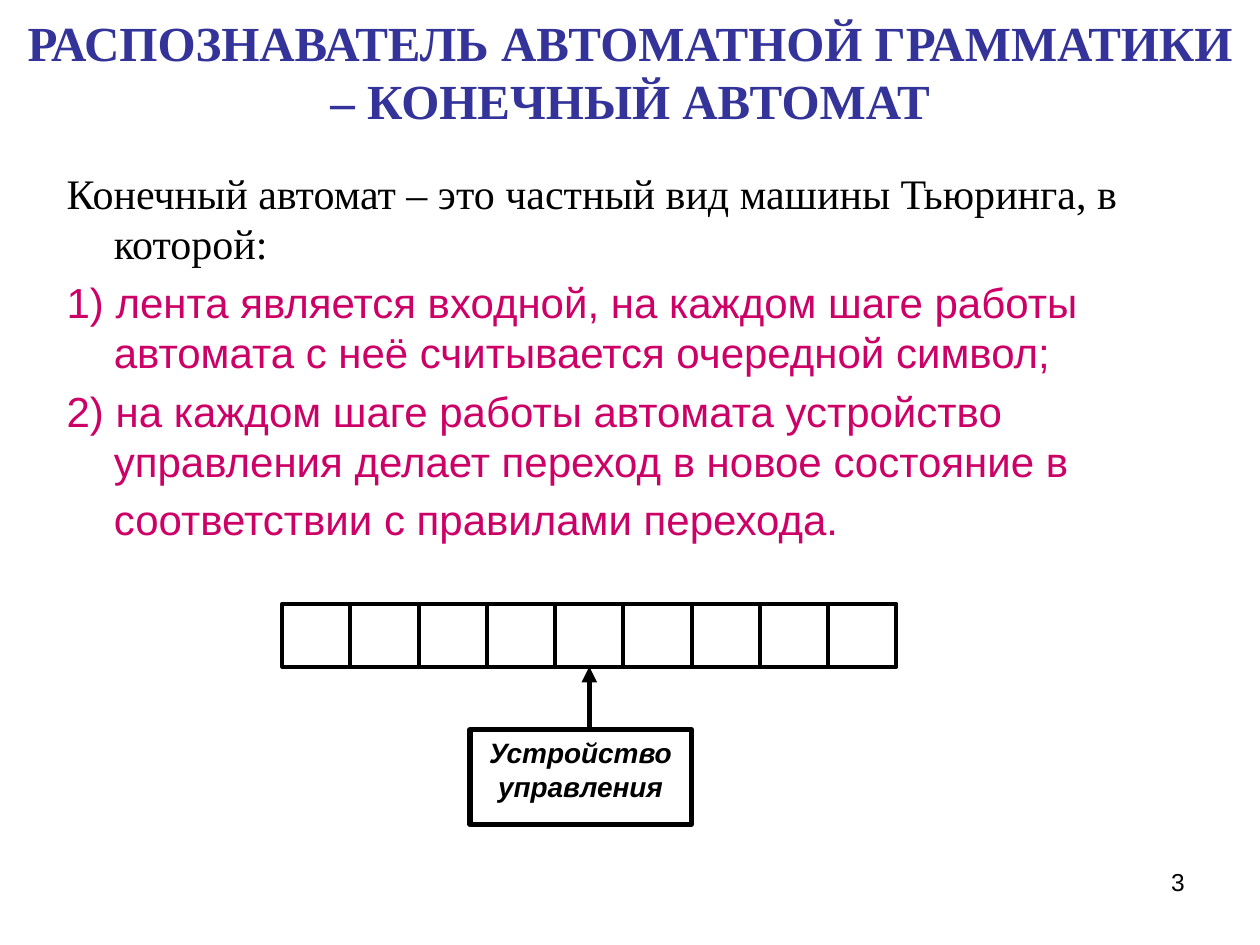
from lxml.etree import SubElement
from pptx import Presentation
from pptx.dml.color import RGBColor
from pptx.enum.shapes import MSO_CONNECTOR, MSO_SHAPE
from pptx.enum.text import MSO_ANCHOR, MSO_AUTO_SIZE, PP_ALIGN
from pptx.oxml.ns import qn
from pptx.util import Pt

BLACK = RGBColor(0x00, 0x00, 0x00)
WHITE = RGBColor(0xFF, 0xFF, 0xFF)
INDIGO = RGBColor(0x33, 0x33, 0x99)
CRIMSON = RGBColor(0xCC, 0x00, 0x66)


def write(paragraph, text, size=24, font="Arial", color=BLACK, bold=False,
          italic=False, align=PP_ALIGN.LEFT, before=0, hanging=0):
    paragraph.alignment = align
    paragraph.space_before = Pt(before)
    if hanging:
        properties = paragraph._p.get_or_add_pPr()
        properties.set("marL", str(Pt(hanging)))
        properties.set("indent", str(-Pt(hanging)))
    span = paragraph.add_run()
    span.text = text
    span.font.size = Pt(size)
    span.font.name = font
    span.font.bold = bold
    span.font.italic = italic
    span.font.color.rgb = color


def add_rectangle(left, top, width, height, line_width):
    rectangle = page.shapes.add_shape(
        MSO_SHAPE.RECTANGLE, Pt(left), Pt(top), Pt(width), Pt(height))
    rectangle.shadow.inherit = False
    rectangle.fill.solid()
    rectangle.fill.fore_color.rgb = WHITE
    rectangle.line.color.rgb = BLACK
    rectangle.line.width = Pt(line_width)
    return rectangle


deck = Presentation()
deck.slide_width, deck.slide_height = Pt(720), Pt(540)
page = deck.slides.add_slide(deck.slide_layouts[5])

title = page.shapes.title
title.left, title.top, title.width, title.height = Pt(0), Pt(15), Pt(720), Pt(51)
title.text_frame.auto_size = MSO_AUTO_SIZE.NONE
title.text_frame.vertical_anchor = MSO_ANCHOR.MIDDLE
write(title.text_frame.paragraphs[0],
      "РАСПОЗНАВАТЕЛЬ АВТОМАТНОЙ ГРАММАТИКИ – КОНЕЧНЫЙ АВТОМАТ",
      size=28, font="Times New Roman", color=INDIGO, bold=True,
      align=PP_ALIGN.CENTER)

body = page.shapes.add_textbox(Pt(31), Pt(92), Pt(664.5), Pt(427)).text_frame
body.word_wrap = True
write(body.paragraphs[0],
      "Конечный автомат – это частный вид машины Тьюринга, в которой:",
      font="Times New Roman", hanging=27)
for condition in (
    "1) лента является входной, на каждом шаге работы автомата с неё "
    "считывается очередной символ;",
    "2) на каждом шаге работы автомата устройство управления делает переход "
    "в новое состояние в соответствии с правилами перехода.",
):
    write(body.add_paragraph(), condition, color=CRIMSON, before=4.8, hanging=27)
write(body.paragraphs[-1], " ", size=28, color=CRIMSON, before=4.8, hanging=27)

number = page.shapes.add_textbox(Pt(516), Pt(492), Pt(168), Pt(37.5)).text_frame
number.word_wrap = True
write(number.paragraphs[0], "3", size=14, align=PP_ALIGN.RIGHT)

cell_width = 39
tape = [add_rectangle(161.25 + index * cell_width, 345, cell_width, 36, 2.25)
        for index in range(9)]
read_cell = tape[4]

control = add_rectangle(268.5, 417, 126.5, 54, 3)
control.text_frame.word_wrap = True
control.text_frame.vertical_anchor = MSO_ANCHOR.TOP
write(control.text_frame.paragraphs[0], "Устройство", size=16, bold=True,
      italic=True, align=PP_ALIGN.CENTER)
write(control.text_frame.add_paragraph(), "управления", size=16, bold=True,
      italic=True, align=PP_ALIGN.CENTER)

head_x = read_cell.left + read_cell.width // 2
head = page.shapes.add_connector(
    MSO_CONNECTOR.STRAIGHT, head_x, control.top, head_x, Pt(381))
head.end_connect(read_cell, 2)
head.line.color.rgb = BLACK
head.line.width = Pt(3)
SubElement(head.line._get_or_add_ln(), qn("a:tailEnd"), type="triangle")
SubElement(head._element.spPr, qn("a:effectLst"))

deck.save("out.pptx")
